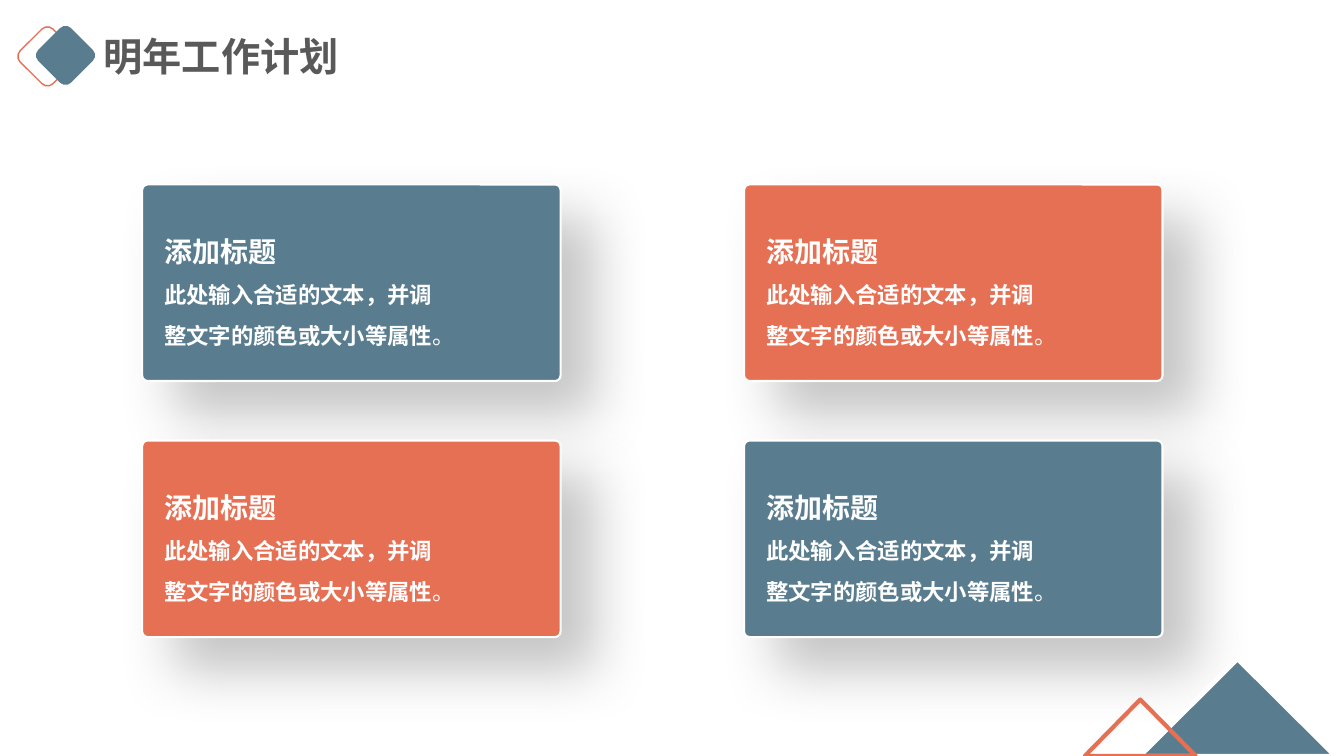
from dataclasses import dataclass

from lxml.etree import SubElement
from pptx import Presentation
from pptx.dml.color import RGBColor
from pptx.enum.shapes import MSO_SHAPE
from pptx.enum.text import MSO_AUTO_SIZE
from pptx.oxml.ns import qn
from pptx.util import Inches, Pt

# Content
HEADING = "明年工作计划"
CARD = ("添加标题", "此处输入合适的文本，并调整文字的颜色或大小等属性", "。")
PLANS = [[CARD, CARD], [CARD, CARD]]


@dataclass(frozen=True)
class Theme:
    font: str = "Noto Sans CJK SC"
    blue: str = "597C8F"
    orange: str = "E67054"
    white: str = "FFFFFF"
    grey: str = "595959"
    shadow: str = "808080"
    heading: int = 28
    title: int = 20
    body: int = 16


THEME = Theme()

# Card grid, in inches
GRID_LEFT, GRID_TOP = 1.41, 1.83
COLUMN_STEP, ROW_STEP = 5.97, 2.54
CARD_WIDTH, CARD_HEIGHT = 4.15, 1.95
COPY_INSET, COPY_DROP = 0.12, 0.28
COPY_WIDTH, COPY_HEIGHT = 2.92, 1.37

deck = Presentation()
deck.slide_width, deck.slide_height = Inches(13.33), Inches(7.5)
slide = deck.slides.add_slide(deck.slide_layouts[6])


def add_figure(kind, box, fill=None, line=None, line_width=1):
    figure = slide.shapes.add_shape(kind, *map(Inches, box))
    figure.shadow.inherit = False
    if fill:
        figure.fill.solid()
        figure.fill.fore_color.rgb = RGBColor.from_string(fill)
    else:
        figure.fill.background()
    if line:
        figure.line.color.rgb = RGBColor.from_string(line)
        figure.line.width = Pt(line_width)
    else:
        figure.line.fill.background()
    return figure


def add_copy(box, wrap):
    frame = slide.shapes.add_textbox(*map(Inches, box)).text_frame
    frame.word_wrap = wrap
    frame.auto_size = MSO_AUTO_SIZE.SHAPE_TO_FIT_TEXT
    return frame


def add_words(paragraph, words, size, color, bold=True):
    run = paragraph.add_run()
    run.text = words
    run.font.name, run.font.size, run.font.bold = THEME.font, Pt(size), bold
    run.font.color.rgb = RGBColor.from_string(color)
    SubElement(run.font._element, qn("a:ea"), typeface=THEME.font)


def cast_shadow(figure):
    effects = figure._element.spPr.find(qn("a:effectLst"))
    shadow = SubElement(effects, qn("a:outerShdw"), blurRad=str(Pt(40)),
                        dist=str(Pt(33)), dir=str(45 * 60000),
                        algn="tl", rotWithShape="0")
    color = SubElement(shadow, qn("a:srgbClr"), val=THEME.shadow)
    SubElement(color, qn("a:alpha"), val="45000")


# Heading with two diamonds
outline_diamond = add_figure(MSO_SHAPE.ROUNDED_RECTANGLE, (0.24, 0.33, 0.46, 0.46),
                             line=THEME.orange)
solid_diamond = add_figure(MSO_SHAPE.ROUNDED_RECTANGLE, (0.42, 0.32, 0.46, 0.46),
                           fill=THEME.blue)
for diamond in (outline_diamond, solid_diamond):
    diamond.rotation = 45
heading = add_copy((0.93, 0.27, 2.56, 0.57), wrap=False)
add_words(heading.paragraphs[0], HEADING, THEME.heading, THEME.grey)

# Plan cards, colours alternating like a chessboard
for row, plans in enumerate(PLANS):
    for column, (title, body, stop) in enumerate(plans):
        left = GRID_LEFT + column * COLUMN_STEP
        top = GRID_TOP + row * ROW_STEP
        color = (THEME.blue, THEME.orange)[(row + column) % 2]
        card = add_figure(MSO_SHAPE.ROUNDED_RECTANGLE,
                          (left, top, CARD_WIDTH, CARD_HEIGHT),
                          color, THEME.white, 1.5)
        card.adjustments[0] = 0.028
        cast_shadow(card)

        frame = add_copy((left + COPY_INSET, top + COPY_DROP,
                          COPY_WIDTH, COPY_HEIGHT), wrap=True)
        title_line, body_line = frame.paragraphs[0], frame.add_paragraph()
        title_line.line_spacing = body_line.line_spacing = 1.5
        add_words(title_line, title, THEME.title, THEME.white)
        add_words(body_line, body, THEME.body, THEME.white)
        add_words(body_line, stop, THEME.body, THEME.white, bold=False)

# Corner peaks
add_figure(MSO_SHAPE.ISOSCELES_TRIANGLE, (11.31, 6.54, 1.93, 0.96),
           THEME.blue, THEME.white, 3)
add_figure(MSO_SHAPE.ISOSCELES_TRIANGLE, (10.76, 6.94, 1.1, 0.56),
           line=THEME.orange, line_width=3)

deck.save("out.pptx")
